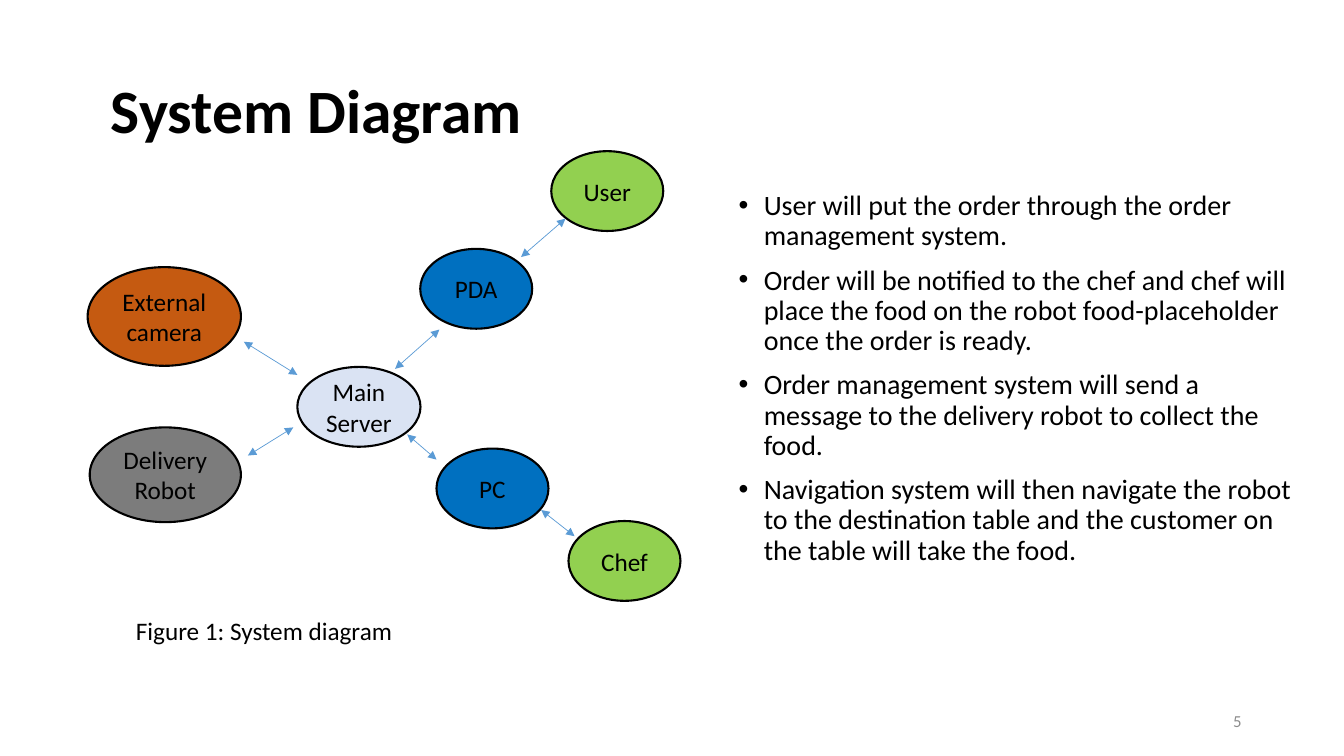
from lxml.etree import SubElement
from pptx import Presentation
from pptx.dml.color import RGBColor
from pptx.enum.shapes import MSO_CONNECTOR, MSO_SHAPE
from pptx.enum.text import MSO_ANCHOR, MSO_AUTO_SIZE, PP_ALIGN
from pptx.oxml.ns import qn
from pptx.util import Pt

BLACK = RGBColor(0x00, 0x00, 0x00)
PAGE_GRAY = RGBColor(0x8C, 0x8C, 0x8C)
BLUE = RGBColor(0x00, 0x70, 0xC0)
PALE_BLUE = RGBColor(0xDA, 0xE3, 0xF3)
ORANGE = RGBColor(0xC5, 0x5A, 0x11)
GREEN = RGBColor(0x92, 0xD0, 0x50)
GRAY = RGBColor(0x7C, 0x7C, 0x7C)
ARROW_BLUE = RGBColor(0x5B, 0x9B, 0xD5)

SMALL = (80, 57)
NODES = [
    ("PDA", (300.2, 177.8), SMALL, BLUE),
    ("Main Server", (212.4, 262.1), (88, 57), PALE_BLUE),
    ("External camera", (62.6, 190.8), (109.5, 70.5), ORANGE),
    ("User", (393.8, 108), SMALL, GREEN),
    ("Chef", (406.1, 372.2), SMALL, GREEN),
    ("PC", (311.8, 320.4), SMALL, BLUE),
    ("Delivery Robot", (64.1, 305.3), (108, 67.7), GRAY),
]
ARROWS = [
    ((282.2, 263.5), (313.9, 235.4)),
    ((410.4, 383), (386.6, 364.3)),
    ((177.1, 325.4), (209.5, 305.3)),
    ((212.4, 267.8), (174.2, 244.1)),
    ((311.8, 328.3), (290.9, 310.3)),
    ((372.2, 183.6), (403.9, 156.2)),
]
STEPS = [
    "User will put the order through the order management system.",
    "Order will be notified to the chef and chef will place the food on the "
    "robot food-placeholder once the order is ready.",
    "Order management system will send a message to the delivery robot to "
    "collect the food.",
    "Navigation system will then navigate the robot to the destination table "
    "and the customer on the table will take the food.",
]


def write(paragraph, text, size=18, color=BLACK, bold=False,
          align=PP_ALIGN.LEFT, spacing=1.0, before=0):
    """Put formatted text in a paragraph."""
    paragraph.alignment = align
    paragraph.line_spacing = spacing
    paragraph.space_before = Pt(before)
    run = paragraph.add_run()
    run.text = text
    run.font.name = "Calibri"
    run.font.size = Pt(size)
    run.font.bold = bold
    run.font.color.rgb = color


class DiagramSlide:
    """Draws the elements of one slide in a shared style."""

    def __init__(self, slide):
        """Keep the slide and its line widths."""
        self.slide = slide
        self.outline_width = Pt(1.5)
        self.arrow_width = Pt(0.5)

    def title(self, text, left, top, width, height):
        """Place and fill the title placeholder."""
        shape = self.slide.shapes.title
        shape.left, shape.top = Pt(left), Pt(top)
        shape.width, shape.height = Pt(width), Pt(height)
        frame = shape.text_frame
        frame.auto_size = MSO_AUTO_SIZE.NONE
        frame.vertical_anchor = MSO_ANCHOR.MIDDLE
        write(frame.paragraphs[0], text, size=44, bold=True, spacing=0.9)

    def text_frame(self, left, top, width, height, anchor=MSO_ANCHOR.TOP, wrap=True):
        """Add a text box and return its frame."""
        box = self.slide.shapes.add_textbox(Pt(left), Pt(top), Pt(width), Pt(height))
        box.text_frame.word_wrap = wrap
        box.text_frame.vertical_anchor = anchor
        return box.text_frame

    def label(self, text, left, top, width, height,
              anchor=MSO_ANCHOR.TOP, wrap=True, **style):
        """Add a text box with one paragraph."""
        frame = self.text_frame(left, top, width, height, anchor, wrap)
        write(frame.paragraphs[0], text, **style)

    def bullets(self, items, left, top, width, height):
        """Add a bulleted list."""
        frame = self.text_frame(left, top, width, height)
        for index, item in enumerate(items):
            paragraph = frame.add_paragraph() if index else frame.paragraphs[0]
            properties = paragraph._p.get_or_add_pPr()
            properties.set("marL", str(Pt(41)))
            properties.set("indent", str(Pt(-18)))
            SubElement(properties, qn("a:buFont")).set("typeface", "Arial")
            SubElement(properties, qn("a:buChar")).set("char", "•")
            write(paragraph, item, size=20, spacing=0.9, before=10 if index else 0)

    def node(self, text, position, size, color):
        """Add an outlined ellipse with a centred name."""
        shape = self.slide.shapes.add_shape(
            MSO_SHAPE.OVAL, *map(Pt, position), *map(Pt, size))
        shape.shadow.inherit = False
        shape.fill.solid()
        shape.fill.fore_color.rgb = color
        shape.line.color.rgb = BLACK
        shape.line.width = self.outline_width
        shape.text_frame.word_wrap = True
        shape.text_frame.vertical_anchor = MSO_ANCHOR.MIDDLE
        write(shape.text_frame.paragraphs[0], text, align=PP_ALIGN.CENTER)

    def arrow(self, start, end):
        """Add a thin line with an arrowhead at each end."""
        connector = self.slide.shapes.add_connector(
            MSO_CONNECTOR.STRAIGHT, *map(Pt, start), *map(Pt, end))
        connector.line.color.rgb = ARROW_BLUE
        connector.line.width = self.arrow_width
        line = connector.line._get_or_add_ln()
        for tag in ("a:headEnd", "a:tailEnd"):
            SubElement(line, qn(tag)).set("type", "triangle")
        SubElement(connector._element.spPr, qn("a:effectLst"))


def main():
    """Build and save the slide."""
    presentation = Presentation()
    presentation.slide_width, presentation.slide_height = Pt(960), Pt(540)
    diagram = DiagramSlide(
        presentation.slides.add_slide(presentation.slide_layouts[5]))
    diagram.title("System Diagram", 72, 28.8, 822, 104.4)
    diagram.label("5", 678, 500.4, 216, 28.8, anchor=MSO_ANCHOR.MIDDLE,
                  size=12, color=PAGE_GRAY, align=PP_ALIGN.RIGHT)
    diagram.bullets(STEPS, 497.5, 133.2, 439.2, 344.2)
    for node in NODES:
        diagram.node(*node)
    for arrow in ARROWS:
        diagram.arrow(*arrow)
    diagram.label("Figure 1: System diagram", 90, 436.3, 199.4, 29, wrap=False)
    presentation.save("out.pptx")


if __name__ == "__main__":
    main()
